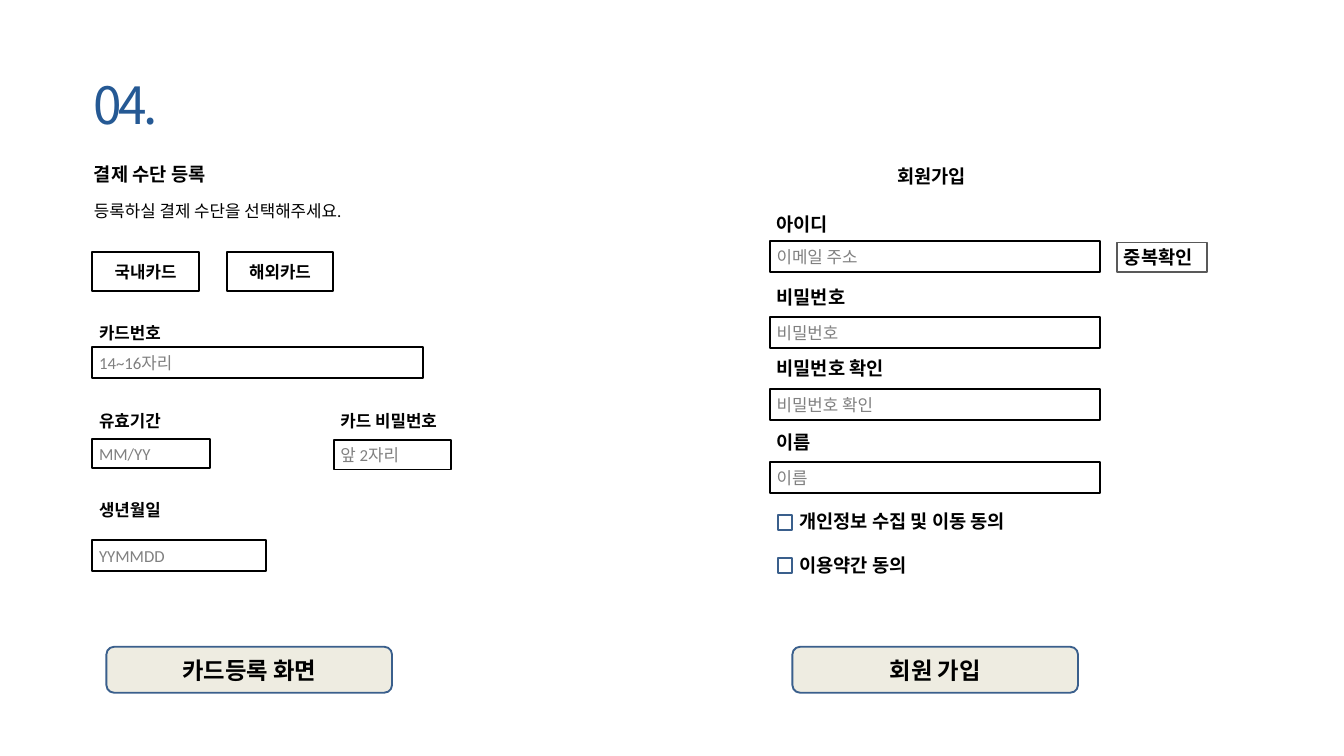
from dataclasses import dataclass
from typing import Optional

from pptx import Presentation
from pptx import util as u
from pptx.dml.color import RGBColor
from pptx.enum import shapes, text


@dataclass(frozen=True)
class Theme:
    ink: str = "000000"
    paper: str = "FFFFFF"
    hint: str = "808080"
    accent: str = "255994"
    outline: str = "3A5F8C"
    check: str = "595959"
    button: str = "EEECE1"
    font: str = "Calibri"
    number_font: str = "Noto Sans CJK KR"
    number: int = 55
    action: int = 25
    heading: int = 20
    body: int = 18
    line: int = 2


@dataclass(frozen=True)
class Area:
    """Place on the slide in grid columns and rows."""
    col: float
    row: float
    cols: float
    rows: float


@dataclass(frozen=True)
class Style:
    size: int
    color: str = "000000"
    bold: bool = True
    fill: Optional[str] = None
    line: Optional[str] = None
    centered: bool = False
    middle: bool = False
    grow: bool = False
    rounded: bool = False


@dataclass(frozen=True)
class Field:
    """An input box with the label above it."""
    label: str
    label_area: Area
    hint: str
    input_area: Area


THEME = Theme()
COLUMNS, ROWS = 240, 135
WIDTH, HEIGHT = u.Inches(20), u.Inches(11.25)

# Text styles
PLAIN = Style(THEME.body, bold=False, grow=True)
CARD_LABEL = Style(THEME.body, grow=True)
HEADING = Style(THEME.heading, fill=THEME.paper, line=THEME.paper, grow=True)
CHECK_BUTTON = Style(THEME.heading, fill=THEME.paper, line=THEME.check, grow=True)
INPUT = Style(THEME.body, THEME.hint, False, THEME.paper, THEME.ink, middle=True)
CARD_BUTTON = Style(THEME.body, fill=THEME.paper, line=THEME.ink,
                    centered=True, middle=True)
ACTION = Style(THEME.action, fill=THEME.button, line=THEME.outline,
               centered=True, middle=True, rounded=True)
CHECKBOX = Style(THEME.body, fill=THEME.paper, line=THEME.outline)

# Shared grid lines
CARD_COL, PIN_COL, JOIN_COL, AGREE_COL = 16.5, 59.6, 137.5, 141.5
LABEL_ROWS, HEADING_ROWS, INPUT_ROWS, INPUT_COLS = 4.85, 5.25, 5.6, 59

CARD_FIELDS = [
    Field("카드번호", Area(CARD_COL, 57, 15, LABEL_ROWS),
          "14~16자리", Area(CARD_COL, 61.9, INPUT_COLS, INPUT_ROWS)),
    Field("유효기간", Area(CARD_COL, 72.8, 15, LABEL_ROWS),
          "MM/YY", Area(CARD_COL, 78.4, 21, 5.25)),
    Field("카드 비밀번호", Area(PIN_COL, 72.8, 22, LABEL_ROWS),
          "앞 2자리", Area(PIN_COL, 78.6, 21, 5.25)),
    Field("생년월일", Area(CARD_COL, 88.7, 15, LABEL_ROWS),
          "YYMMDD", Area(CARD_COL, 96.5, 31, 5.5)),
]
JOIN_FIELDS = [
    Field(label, Area(JOIN_COL, label_row, cols, HEADING_ROWS),
          hint, Area(JOIN_COL, input_row, INPUT_COLS, INPUT_ROWS))
    for label, label_row, cols, hint, input_row in [
        ("아이디", 37.5, 16, "이메일 주소", 43),
        ("비밀번호", 50.4, 16, "비밀번호", 56.6),
        ("비밀번호 확인", 63.1, 23.5, "비밀번호 확인", 69.4),
        ("이름", 76.4, 23.5, "이름", 82.5),
    ]
]
AGREEMENTS = [("개인정보 수집 및 이동 동의", 90.5), ("이용약간 동의", 98.25)]


def emu(area: Area) -> tuple[int, int, int, int]:
    across, down = WIDTH / COLUMNS, HEIGHT / ROWS
    return (round(area.col * across), round(area.row * down),
            round(area.cols * across), round(area.rows * down))


def write(shape, words: str, style: Style) -> None:
    frame = shape.text_frame
    frame.text = words
    frame.word_wrap = True
    frame.auto_size = (text.MSO_AUTO_SIZE.SHAPE_TO_FIT_TEXT if style.grow
                       else text.MSO_AUTO_SIZE.NONE)
    frame.vertical_anchor = (text.MSO_ANCHOR.MIDDLE if style.middle
                             else text.MSO_ANCHOR.TOP)
    paragraph = frame.paragraphs[0]
    paragraph.alignment = (text.PP_ALIGN.CENTER if style.centered
                           else text.PP_ALIGN.LEFT)
    font = paragraph.runs[0].font
    font.name, font.size, font.bold = THEME.font, u.Pt(style.size), style.bold
    font.color.rgb = RGBColor.from_string(style.color)


def draw(slide, area: Area, style: Style, words: str = "") -> None:
    if style.fill is None:
        box = slide.shapes.add_textbox(*emu(area))
    else:
        preset = (shapes.MSO_SHAPE.ROUNDED_RECTANGLE if style.rounded
                  else shapes.MSO_SHAPE.RECTANGLE)
        box = slide.shapes.add_shape(preset, *emu(area))
        box.shadow.inherit = False
        box.fill.solid()
        box.fill.fore_color.rgb = RGBColor.from_string(style.fill)
        box.line.color.rgb = RGBColor.from_string(style.line)
        box.line.width = u.Pt(THEME.line)
    if words:
        write(box, words, style)


def draw_field(slide, field: Field, label_style: Style) -> None:
    draw(slide, field.input_area, INPUT, field.hint)
    draw(slide, field.label_area, label_style, field.label)


def draw_number(slide) -> None:
    title = slide.shapes.title
    title.left, title.top, title.width, title.height = emu(
        Area(15.5, 12.35, 192.7, 12.35))
    write(title, "04.", Style(THEME.number, THEME.accent, False,
                              middle=True, grow=True))
    font = title.text_frame.paragraphs[0].runs[0].font
    font.name = THEME.number_font
    font._element.set("spc", "-400")


def main() -> None:
    deck = Presentation()
    deck.slide_width, deck.slide_height = WIDTH, HEIGHT
    slide = deck.slides.add_slide(deck.slide_layouts[5])
    draw_number(slide)

    # Card registration
    draw(slide, Area(15.6, 28.5, 25, HEADING_ROWS), HEADING, "결제 수단 등록")
    draw(slide, Area(15.6, 35.3, 68, LABEL_ROWS), PLAIN,
         "등록하실 결제 수단을 선택해주세요.")
    for index, card in enumerate(["국내카드", "해외카드"]):
        draw(slide, Area(CARD_COL + 24 * index, 45, 19, 7), CARD_BUTTON, card)
    for field in CARD_FIELDS:
        draw_field(slide, field, CARD_LABEL)

    # Sign-up
    draw(slide, Area(159, 28.8, 16, HEADING_ROWS), HEADING, "회원가입")
    for field in JOIN_FIELDS:
        draw_field(slide, field, HEADING)
    draw(slide, Area(199.5, 43.3, 16, HEADING_ROWS), CHECK_BUTTON, "중복확인")
    for agreement, row in AGREEMENTS:
        draw(slide, Area(AGREE_COL, row, 46.5, HEADING_ROWS), HEADING, agreement)
        draw(slide, Area(AGREE_COL - 2.5, row + 1.4, 2.5, 2.75), CHECKBOX)

    # Screen names
    for name, col in [("카드등록 화면", 19), ("회원 가입", AGREE_COL)]:
        draw(slide, Area(col, 115.5, 51, 8.2), ACTION, name)

    deck.save("out.pptx")


if __name__ == "__main__":
    main()
